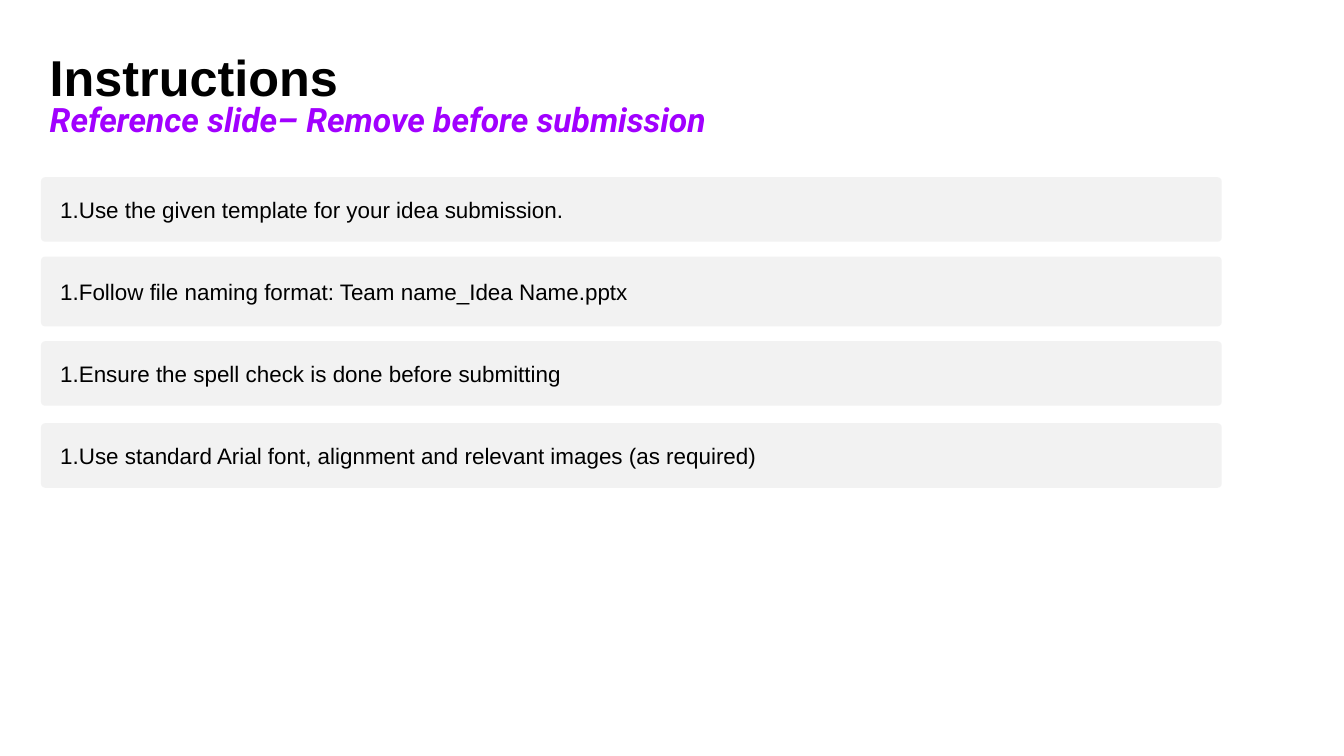
from dataclasses import dataclass

from lxml.etree import SubElement
from pptx import Presentation
from pptx.dml.color import RGBColor
from pptx.enum.shapes import MSO_SHAPE
from pptx.enum.text import MSO_ANCHOR, PP_ALIGN
from pptx.oxml.ns import qn
from pptx.util import Cm, Pt


@dataclass(frozen=True)
class Theme:
    text: RGBColor = RGBColor(0x00, 0x00, 0x00)
    accent: RGBColor = RGBColor(0xA1, 0x00, 0xFF)
    panel: RGBColor = RGBColor(0xF2, 0xF2, 0xF2)
    body_font: str = "Arial"
    accent_font: str = "Roboto"
    title_size: float = 54
    subtitle_size: float = 36
    body_size: float = 24


theme = Theme()


def add_run(paragraph, text, font_name, size, color, bold=False, italic=False):
    run = paragraph.add_run()
    run.text = text
    run.font.name = font_name
    run.font.size = Pt(size)
    run.font.color.rgb = color
    run.font.bold = bold
    run.font.italic = italic


def set_insets(frame, inset):
    frame.margin_left = frame.margin_right = inset
    frame.margin_top = frame.margin_bottom = inset
    frame.word_wrap = True


presentation = Presentation()
presentation.slide_width = Cm(50.8)
presentation.slide_height = Cm(28.58)
slide = presentation.slides.add_slide(presentation.slide_layouts[6])

# Heading
heading = slide.shapes.add_textbox(Cm(1.88), Cm(2.21), Cm(47.63), Cm(4.7)).text_frame
set_insets(heading, Cm(0))
title = heading.paragraphs[0]
title.line_spacing = Pt(51.8)
add_run(title, "Instructions", theme.body_font, theme.title_size, theme.text, bold=True)
subtitle = heading.add_paragraph()
subtitle.line_spacing = Pt(34.6)
add_run(subtitle, "Reference slide– Remove before submission", theme.accent_font,
        theme.subtitle_size, theme.accent, bold=True, italic=True)

# Instruction panels: top and height in cm, then the wording
instructions = [
    (6.7, 2.44, "Use the given template for your idea submission."),
    (9.7, 2.64, "Follow file naming format: Team name_Idea Name.pptx"),
    (12.9, 2.44, "Ensure the spell check is done before submitting"),
    (16, 2.44, "Use standard Arial font, alignment and relevant images (as required)"),
]
corner_radius = 0.16
for top, height, text in instructions:
    panel = slide.shapes.add_shape(
        MSO_SHAPE.ROUNDED_RECTANGLE, Cm(1.55), Cm(top), Cm(44.63), Cm(height))
    panel.adjustments[0] = corner_radius / height
    panel.shadow.inherit = False
    panel.fill.solid()
    panel.fill.fore_color.rgb = theme.panel
    panel.line.fill.background()

    frame = panel.text_frame
    set_insets(frame, Cm(0.1))
    frame.vertical_anchor = MSO_ANCHOR.MIDDLE
    paragraph = frame.paragraphs[0]
    paragraph.level = 1
    paragraph.alignment = PP_ALIGN.LEFT
    paragraph.line_spacing = Pt(28.8)
    properties = paragraph._p.get_or_add_pPr()
    properties.set("marL", str(Cm(1.19)))
    properties.set("indent", str(Cm(-0.61)))
    SubElement(properties, qn("a:buAutoNum"), type="arabicPeriod")
    add_run(paragraph, text, theme.body_font, theme.body_size, theme.text)

presentation.save("out.pptx")
